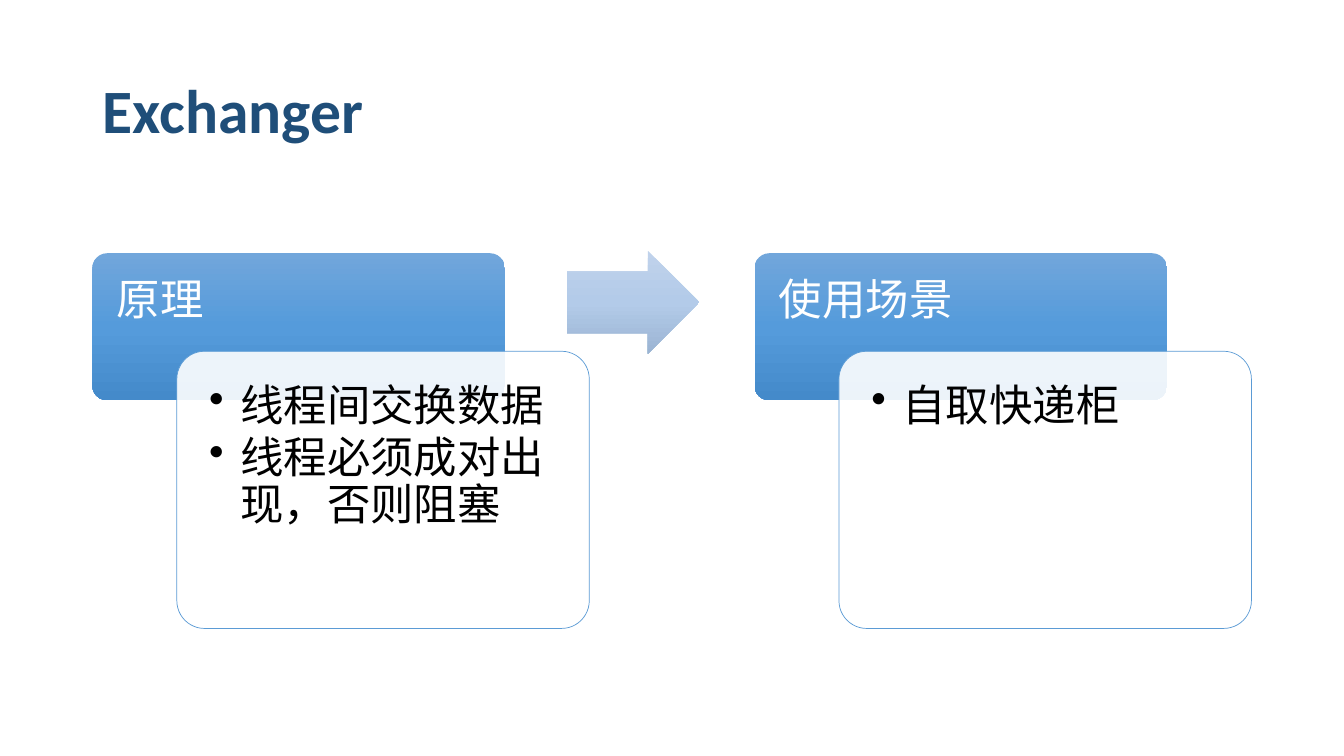
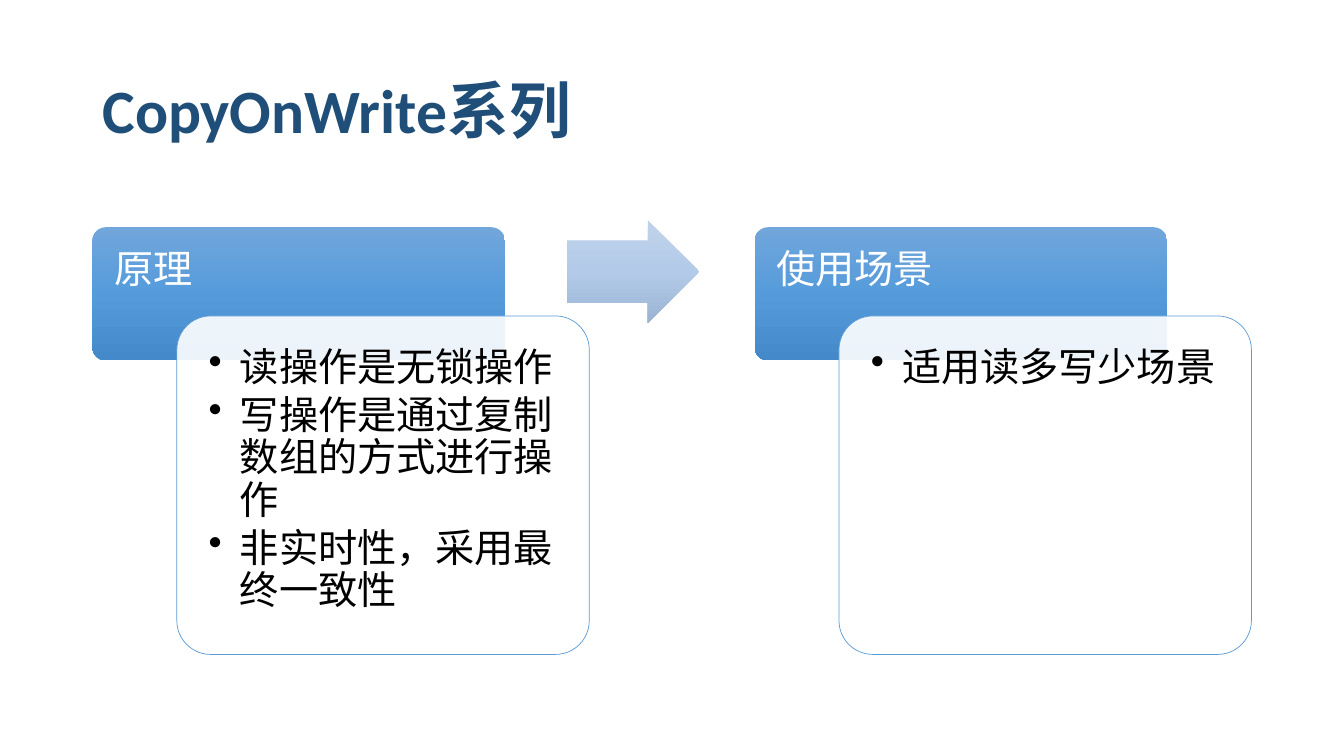
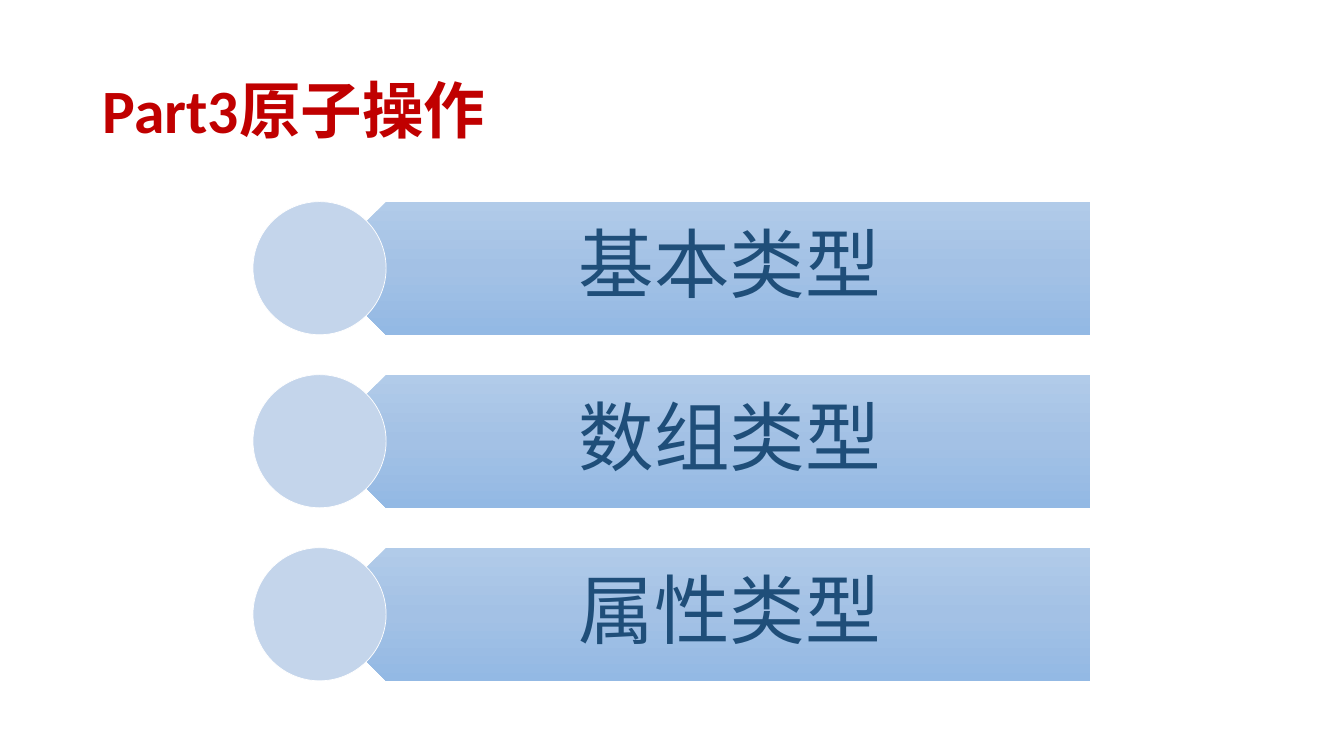
from lxml.etree import SubElement
from pptx import Presentation
from pptx.dml.color import RGBColor
from pptx.enum.lang import MSO_LANGUAGE_ID as LANG
from pptx.enum.shapes import MSO_SHAPE as SHAPE
from pptx.enum.text import MSO_ANCHOR as ANCHOR, MSO_AUTO_SIZE as AUTO, PP_ALIGN as ALIGN
from pptx.oxml.ns import qn
from pptx.util import Emu, Inches, Pt

COLS, ROWS = 160, 90
CELL = Inches(1) / 12
NAVY, RED, WHITE, BLACK = "1F4E79", "C00000", "FFFFFF", "000000"
BLUE, PALE = "5B9BD5", "C4D5EB"
HEADER_GRAD = ("71A6DB", "559BDB", "448ACA")
ARROW_GRAD = ("C0D2EB", "B3CBE9", "9BB4D3")
BAR_GRAD = ("B1CBE9", "A3C1E5", "93B9E4")
CORNER = 0.1
CORNER_INSET = 0.29 * CORNER


def rgb(color):
    """Turn a hex string into a colour."""
    return RGBColor.from_string(color)


def cells(*counts):
    """Turn grid counts into lengths."""
    return [Emu(round(n * CELL)) for n in counts]


def apply(target, values):
    """Set each attribute named in a dict."""
    for name, value in values.items():
        setattr(target, name, value)


def fill_solid(shape, color, alpha=None):
    """Fill a shape with one colour, with optional opacity in percent."""
    shape.fill.solid()
    shape.fill.fore_color.rgb = rgb(color)
    if alpha is not None:
        clr = shape.fill._xPr.find(qn("a:solidFill"))[0]
        SubElement(clr, qn("a:alpha"), val=str(alpha * 1000))


def fill_gradient(shape, colors):
    """Fill a shape from top to bottom with evenly spaced colours."""
    shape.fill.gradient()
    shape.fill.gradient_angle = 270
    grad = shape.fill._xPr.find(qn("a:gradFill"))
    grad.set("rotWithShape", "0")
    stops = grad.find(qn("a:gsLst"))
    for stop in list(stops):
        stops.remove(stop)
    for i, color in enumerate(colors):
        pos = 100000 * i // (len(colors) - 1)
        stop = SubElement(stops, qn("a:gs"), pos=str(pos))
        SubElement(stop, qn("a:srgbClr"), val=color)


def add_figure(s, kind, box, line=None, adjust=()):
    """Add a preset shape with no shadow and an optional thin outline."""
    sp = s.shapes.add_shape(kind, *cells(*box))
    sp.shadow.inherit = False
    for i, value in enumerate(adjust):
        sp.adjustments[i] = value
    if line:
        sp.line.color.rgb = rgb(line)
        sp.line.width = Pt(0.5)
    else:
        sp.line.fill.background()
    return sp


def write(tf, lines, size, color, align=ALIGN.LEFT, bold=False, bullets=False):
    """Write one paragraph per line in the shared text style."""
    for i, line in enumerate(lines):
        p = tf.paragraphs[0] if i == 0 else tf.add_paragraph()
        if bullets:
            pPr = p._p.get_or_add_pPr()
            apply_indent = {"marL": Inches(0.31), "indent": -Inches(0.31)}
            for name, value in apply_indent.items():
                pPr.set(name, str(value))
            SubElement(pPr, qn("a:buChar"), char="•")
        apply(p, {"alignment": align, "line_spacing": 0.9})
        if i < len(lines) - 1:
            p.space_after = Pt(4)
        r = p.add_run()
        r.text = line
        apply(r.font, {"name": "Calibri", "size": Pt(size), "bold": bold,
                       "language_id": LANG.SIMPLIFIED_CHINESE})
        r.font.color.rgb = rgb(color)


def set_frame(tf, anchor, left, top, right, bottom):
    """Set wrapping, anchor and insets of a text frame."""
    apply(tf, {"word_wrap": True, "auto_size": AUTO.NONE, "vertical_anchor": anchor,
               "margin_left": left, "margin_top": top,
               "margin_right": right, "margin_bottom": bottom})


def add_slide(prs, title, color=NAVY):
    """Add a slide with its title placeholder."""
    s = prs.slides.add_slide(prs.slide_layouts[5])
    sp = s.shapes.title
    apply(sp, dict(zip(("left", "top", "width", "height"), cells(11, 4.8, 138, 17.4))))
    set_frame(sp.text_frame, ANCHOR.MIDDLE, *[Inches(n) for n in (0.1, 0.05, 0.1, 0.05)])
    write(sp.text_frame, [title], 44, color, bold=True)
    return s


def add_card(s, left, top, head_h, card_h, size, heading, points):
    """Add a heading block with a bulleted card overlapping it."""
    width = 49.1
    inset = Pt(size * 0.56)
    head = add_figure(s, SHAPE.ROUNDED_RECTANGLE, (left, top, width, head_h), adjust=[CORNER])
    fill_gradient(head, HEADER_GRAD)
    head_inset = inset - round(head.height * CORNER_INSET)
    set_frame(head.text_frame, ANCHOR.TOP, *[head_inset] * 4)
    write(head.text_frame, [heading], size, WHITE)

    box = (left + 10.05, top + head_h * 2 / 3, width, card_h)
    card = add_figure(s, SHAPE.ROUNDED_RECTANGLE, box, BLUE, [CORNER])
    fill_solid(card, WHITE, 90)
    set_frame(card.text_frame, ANCHOR.TOP, *[inset] * 4)
    write(card.text_frame, points, size, BLACK, bullets=True)


def add_flow(s, top, head_h, card_h, size, cards):
    """Add two cards with an arrow level with their headings."""
    for i, (heading, points) in enumerate(cards):
        add_card(s, 11 + i * 78.83, top, head_h, card_h, size, heading, points)
    arrow_h = 12.25
    box = (67.5, top + head_h / 3 - arrow_h / 2, 15.75, arrow_h)
    arrow = add_figure(s, SHAPE.RIGHT_ARROW, box, adjust=[0.6, 0.5])
    fill_gradient(arrow, ARROW_GRAD)


def add_bar(s, top, label):
    """Add a left-pointing bar with a circle at its tip."""
    left, height, width = 30.12, 15.85, 91.8
    tip = left + height / 2
    bar = add_figure(s, SHAPE.PENTAGON, (tip, top, width, height))
    bar.rotation = 180
    fill_gradient(bar, BAR_GRAD)
    box = (tip + height / 4, top, width - height / 4, height)
    tf = s.shapes.add_textbox(*cells(*box)).text_frame
    set_frame(tf, ANCHOR.MIDDLE, *[Inches(n) for n in (0.58, 0.23, 0.42, 0.23)])
    write(tf, [label], 54, NAVY, ALIGN.CENTER)
    circle = add_figure(s, SHAPE.OVAL, (left, top, height, height), WHITE)
    fill_solid(circle, PALE)


def main():
    """Build the three slides."""
    prs = Presentation()
    prs.slide_width, prs.slide_height = cells(COLS, ROWS)

    s = add_slide(prs, "Exchanger")
    add_flow(s, 30.15, 17.5, 33, 31, [
        ("原理", ["线程间交换数据", "线程必须成对出现，否则阻塞"]),
        ("使用场景", ["自取快递柜"]),
    ])

    s = add_slide(prs, "CopyOnWrite系列")
    add_flow(s, 27.05, 15.85, 40.3, 28, [
        ("原理", ["读操作是无锁操作", "写操作是通过复制数组的方式进行操作", "非实时性，采用最终一致性"]),
        ("使用场景", ["适用读多写少场景"]),
    ])

    s = add_slide(prs, "Part3原子操作", RED)
    for i, label in enumerate(["基本类型", "数组类型", "属性类型"]):
        add_bar(s, 24 + i * 20.6, label)

    prs.save("out.pptx")


if __name__ == "__main__":
    main()
